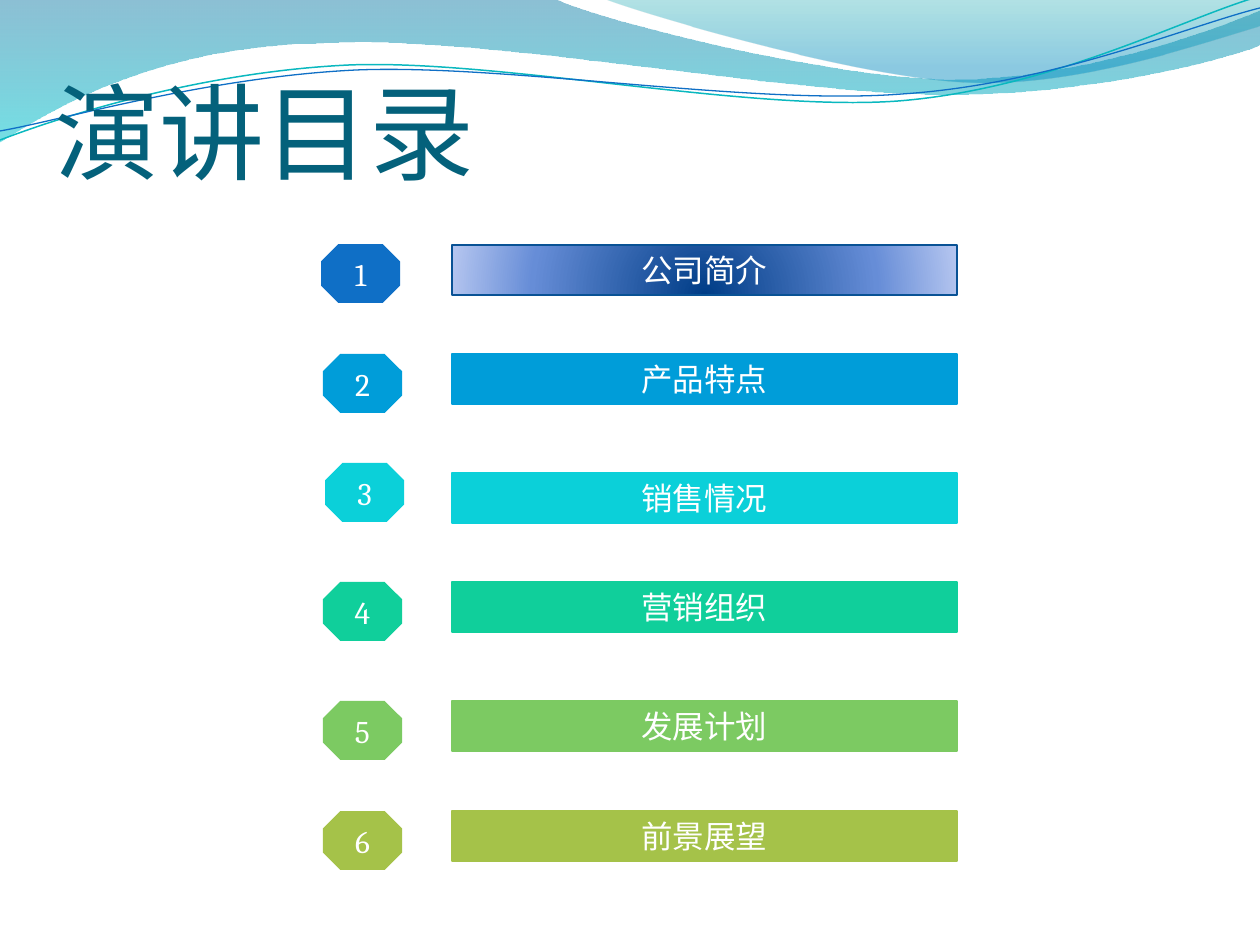
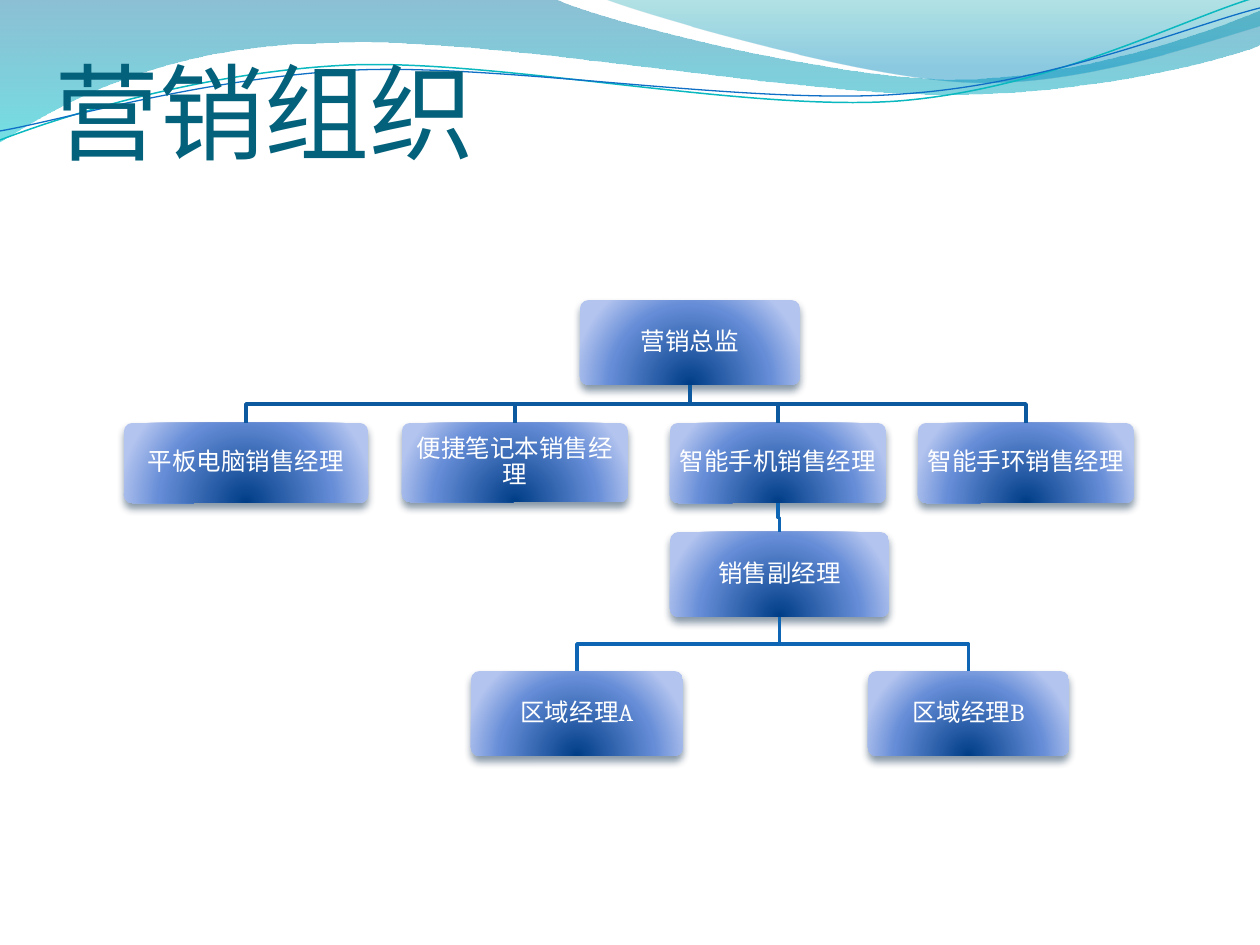
from lxml import etree
from pptx import Presentation
from pptx.dml.color import RGBColor
from pptx.enum.shapes import MSO_SHAPE as SHAPE
from pptx.enum.text import MSO_ANCHOR as ANCHOR, MSO_AUTO_SIZE as AUTO_SIZE, PP_ALIGN as ALIGN
from pptx.oxml.ns import qn
from pptx.util import Emu, Pt

EMU_PER_PIXEL = 914400 / 126
WHITE = "FFFFFF"
TITLE_COLOUR = "04617B"

# Gradients: (position %, colour, opacity %)
BACK_WAVE = [(0, "0074A1", 45), (100, "00C6CF", 55)]
FRONT_WAVE = [(0, "00A1A9", 30), (80, "008BBF", 45)]
GLOW = [(0, "003D87", 100), (68, "668DD7", 100), (100, "B3C4EF", 100)]

# Waves: start point, then line (x, y) or curve (two controls, end) segments
WAVE_AREAS = [
    (BACK_WAVE, (0, 0), [
        (555, -1), (600, 21, 837, 79, 955, 79), (1075, 79, 1207, 33, 1260, 11),
        (1261, 45), (1239, 55, 1096, 96, 940, 94), (784, 94, 481, 35, 324, 43),
        (163, 45, 58, 105, -1, 142)]),
    (FRONT_WAVE, (604, -1), [
        (641, 14, 859, 78, 969, 82), (1079, 87, 1211, 40, 1260, 26), (1260, 0)]),
]
WAVE_LINES = [
    ("0AB8BF", 0.85, (0, 140), [
        (60, 117, 199, 72, 349, 65), (498, 59, 747, 112, 898, 101),
        (1050, 89, 1182, 19, 1257, -3)]),
    ("0F6FC6", 0.75, (0, 131), [
        (59, 121, 207, 77, 357, 70), (508, 64, 752, 106, 903, 94),
        (1053, 84, 1188, 26, 1260, 8)]),
]

# Agenda: topic, colour, badge left, badge top, bar top
AGENDA = [
    ("公司简介", "0F6FC6", 321, 244, 245),
    ("产品特点", "009DD9", 323, 354, 354),
    ("销售情况", "0BD0D9", 325, 463, 473),
    ("营销组织", "10CF9B", 323, 582, 582),
    ("发展计划", "7CCA62", 323, 701, 701),
    ("前景展望", "A5C249", 323, 811, 811),
]

# Organisation: role -> left, top, width, height
ROLES = {
    "营销总监": (580, 300, 220, 85),
    "平板电脑销售经理": (124, 423, 244, 80),
    "便捷笔记本销售经理": (402, 423, 226, 79),
    "智能手机销售经理": (670, 423, 216, 80),
    "智能手环销售经理": (918, 423, 216, 80),
    "销售副经理": (670, 532, 219, 85),
    "区域经理A": (471, 671, 212, 85),
    "区域经理B": (868, 671, 201, 85),
}
# Reporting lines: superior, subordinates, colour
REPORTING = [
    ("营销总监", ["平板电脑销售经理", "便捷笔记本销售经理",
              "智能手机销售经理", "智能手环销售经理"], "0C599F"),
    ("智能手机销售经理", ["销售副经理"], "0E65B4"),
    ("销售副经理", ["区域经理A", "区域经理B"], "0E65B4"),
]


def px(length):
    return Emu(round(length * EMU_PER_PIXEL))


def rgb(colour):
    return RGBColor.from_string(colour)


def apply(target, values):
    for key, value in values.items():
        setattr(target, key, value)


def write(shape, text, size, colour, font, align=ALIGN.CENTER, spacing=None, **frame_format):
    frame = shape.text_frame
    frame.text = text
    apply(frame, {"word_wrap": True, **frame_format})
    paragraph = frame.paragraphs[0]
    apply(paragraph, {"alignment": align, "line_spacing": spacing})
    run_font = paragraph.runs[0].font
    apply(run_font, {"size": Pt(size), "name": font})
    run_font.color.rgb = rgb(colour)


def paint(shape, fill=None, line=None, width=0.75):
    shape.shadow.inherit = False
    if fill:
        shape.fill.solid()
        shape.fill.fore_color.rgb = rgb(fill)
    else:
        shape.fill.background()
    if line:
        shape.line.color.rgb = rgb(line)
        shape.line.width = Pt(width)
    else:
        shape.line.fill.background()


def add_part(parent, tag, **attributes):
    return etree.SubElement(parent, qn(tag), {k: str(v) for k, v in attributes.items()})


def paint_gradient(shape, stops, glow=False):
    """Swap the solid fill for a vertical gradient, or a glow from below."""
    solid = shape.element.spPr.find(qn("a:solidFill"))
    gradient = etree.Element(qn("a:gradFill"), rotWithShape="1")
    stop_list = add_part(gradient, "a:gsLst")
    for position, colour, opacity in stops:
        stop = add_part(stop_list, "a:gs", pos=position * 1000)
        tint = add_part(stop, "a:srgbClr", val=colour)
        if opacity < 100:
            add_part(tint, "a:alpha", val=opacity * 1000)
    if glow:
        circle = add_part(gradient, "a:path", path="circle")
        add_part(circle, "a:fillToRect", l=50000, t=130000, r=50000, b=-30000)
    else:
        add_part(gradient, "a:lin", ang=5400000, scaled=0)
    solid.getparent().replace(solid, gradient)


def add_shadow(shape):
    effects = shape.element.spPr.find(qn("a:effectLst"))
    shadow = add_part(effects, "a:outerShdw", blurRad=Pt(4.5), dist=Pt(3),
                      dir=5400000, rotWithShape=0)
    tint = add_part(shadow, "a:srgbClr", val="042747")
    add_part(tint, "a:alpha", val=48000)


def add_outline(slide, start, segments, close=False):
    """Draw straight segments, then bend those that carry control points."""
    builder = slide.shapes.build_freeform(px(start[0]), px(start[1]))
    builder.add_line_segments([(px(s[-2]), px(s[-1])) for s in segments], close=close)
    outline = builder.convert_to_shape()
    straights = list(outline.element.iter(qn("a:lnTo")))
    for straight, segment in zip(straights, segments):
        if len(segment) == 6:
            curve = etree.Element(qn("a:cubicBezTo"))
            for x, y in zip(segment[::2], segment[1::2]):
                add_part(curve, "a:pt", x=px(x) - outline.left, y=px(y) - outline.top)
            straight.getparent().replace(straight, curve)
    return outline


def add_shape(slide, preset, left, top, width, height):
    return slide.shapes.add_shape(preset, px(left), px(top), px(width), px(height))


def add_master_waves(deck, slide):
    """Draw the waves on a slide, then move them to the back of the master."""
    waves = []
    for stops, start, segments in WAVE_AREAS:
        area = add_outline(slide, start, segments, close=True)
        paint(area, fill=WHITE)
        paint_gradient(area, stops)
        waves.append(area)
    for colour, width, start, segments in WAVE_LINES:
        ribbon = add_outline(slide, start, segments)
        paint(ribbon, line=colour, width=width)
        waves.append(ribbon)
    master_tree = deck.slide_master.shapes.element
    for position, wave in enumerate(waves, start=2):
        master_tree.insert(position, wave.element)


def add_titled_slide(deck, text, top):
    slide = deck.slides.add_slide(deck.slide_layouts.get_by_name("Title Only"))
    title = slide.shapes.title
    apply(title, {"left": px(54), "top": px(top), "width": px(1134), "height": px(158)})
    write(title, text, 60, TITLE_COLOUR, "Calibri", ALIGN.LEFT,
          vertical_anchor=ANCHOR.BOTTOM, auto_size=AUTO_SIZE.NONE,
          margin_left=0, margin_top=px(6), margin_right=0, margin_bottom=0)
    return slide


def add_agenda(slide):
    for number, (topic, colour, left, top, _) in enumerate(AGENDA, start=1):
        badge = add_shape(slide, SHAPE.OCTAGON, left, top, 79, 59)
        paint(badge, fill=colour)
        write(badge, str(number), 18, WHITE, "Cambria", vertical_anchor=ANCHOR.MIDDLE)

    for row, (topic, colour, _, _, top) in enumerate(AGENDA):
        current = row == 0
        bar = add_shape(slide, SHAPE.RECTANGLE, 452, top, 505, 50)
        paint(bar, fill=colour, line="095295" if current else colour)
        if current:
            paint_gradient(bar, GLOW, glow=True)
        write(bar, topic, 18, WHITE, "Cambria", vertical_anchor=ANCHOR.TOP)


def add_role(slide, role):
    box = add_shape(slide, SHAPE.ROUNDED_RECTANGLE, *ROLES[role])
    box.adjustments[0] = 0.1
    paint(box, fill=WHITE)
    paint_gradient(box, GLOW, glow=True)
    add_shadow(box)
    write(box, role, 14, WHITE, "Cambria", spacing=0.9, vertical_anchor=ANCHOR.MIDDLE,
          **{f"margin_{side}": px(6) for side in ("left", "top", "right", "bottom")})


def add_reporting_line(slide, superior, subordinate, colour):
    left, top, width, height = ROLES[superior]
    start_x, start_y = left + width / 2, top + height
    left, end_y, width, _ = ROLES[subordinate]
    end_x, middle_y = left + width / 2, (start_y + end_y) / 2
    branch = add_outline(slide, (start_x, start_y),
                         [(start_x, middle_y), (end_x, middle_y), (end_x, end_y)])
    paint(branch, line=colour, width=2)


def add_organisation(slide):
    for role in ROLES:
        add_role(slide, role)
    for superior, subordinates, colour in REPORTING:
        for subordinate in subordinates:
            add_reporting_line(slide, superior, subordinate, colour)


def main():
    deck = Presentation()
    apply(deck, {"slide_width": px(1260), "slide_height": px(945)})

    agenda = add_titled_slide(deck, "演讲目录", top=36)
    add_master_waves(deck, agenda)
    add_agenda(agenda)

    organisation = add_titled_slide(deck, "营销组织", top=16)
    add_organisation(organisation)

    deck.save("out.pptx")


main()
